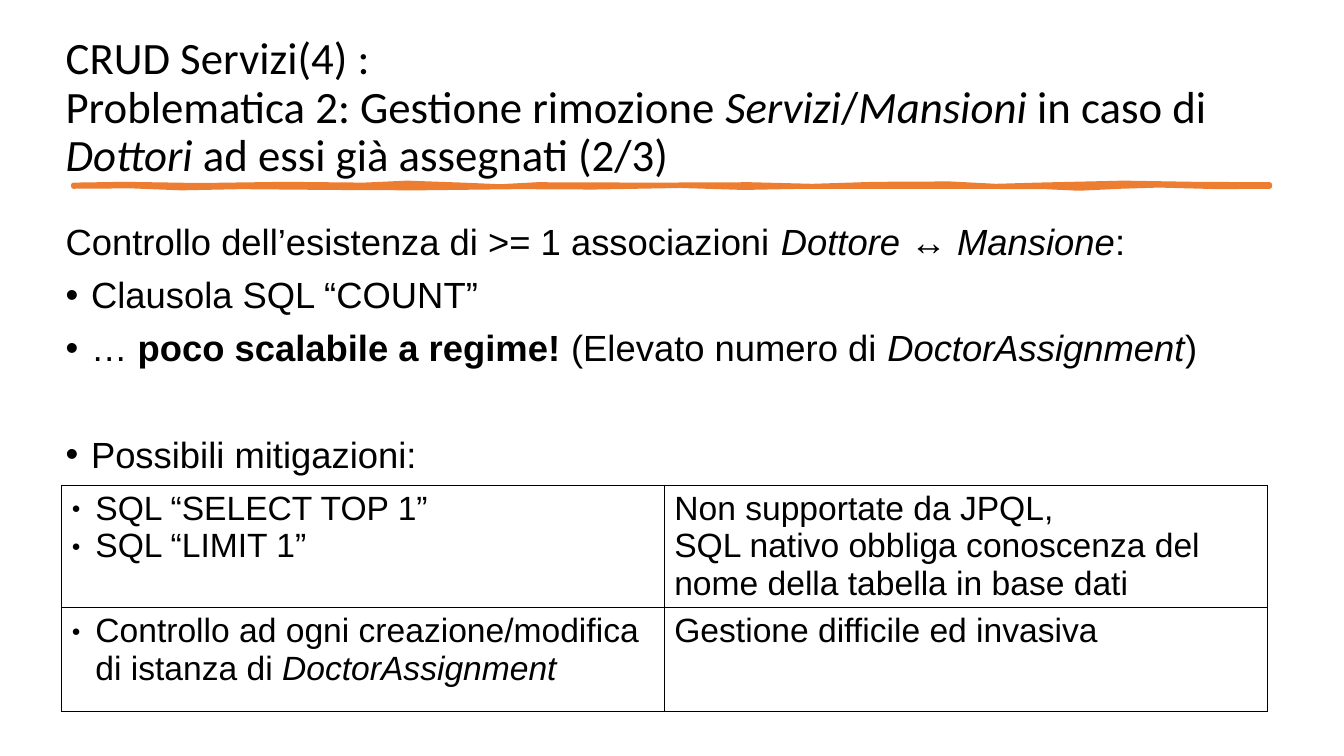
from dataclasses import dataclass
from typing import Optional

from lxml.etree import SubElement
from pptx import Presentation
from pptx.dml.color import RGBColor
from pptx.enum.text import MSO_ANCHOR, MSO_AUTO_SIZE, PP_ALIGN
from pptx.oxml.ns import qn
from pptx.util import Cm, Pt


@dataclass(frozen=True)
class Theme:
    ink: str = "000000"
    accent: str = "ED7D31"
    title_font: str = "Calibri"
    body_font: str = "Arial"
    title_size: float = 32
    body_size: float = 26
    table_size: float = 24
    underline_width: float = 3.25
    outer_border: float = 0.06
    inner_border: float = 0.96


@dataclass(frozen=True)
class Span:
    text: str
    italic: bool = False
    bold: bool = False


@dataclass(frozen=True)
class Bullet:
    character: str
    indent: float
    percent: int = 100


@dataclass(frozen=True)
class Line:
    spans: tuple[Span, ...]
    bullet: Optional[Bullet] = None
    space_before: float = 0


@dataclass(frozen=True)
class TextStyle:
    font: str
    size: float
    line_spacing: float


THEME = Theme()
TITLE_STYLE = TextStyle(THEME.title_font, THEME.title_size, 0.9)
BODY_STYLE = TextStyle(THEME.body_font, THEME.body_size, 0.9)
TABLE_STYLE = TextStyle(THEME.body_font, THEME.table_size, 1.0)
BODY_BULLET = Bullet("•", 0.64)
TABLE_BULLET = Bullet("●", 0.6, 45)

TITLE = (
    Line((Span("CRUD Servizi(4) :"),)),
    Line((
        Span("Problematica 2: Gestione rimozione "),
        Span("Servizi", italic=True),
        Span("/"),
        Span("Mansioni", italic=True),
        Span(" in caso di "),
        Span("Dottori", italic=True),
        Span(" ad essi già assegnati (2/3)"),
    )),
)
BODY = (
    Line((
        Span("Controllo dell’esistenza di >= 1 associazioni "),
        Span("Dottore", italic=True),
        Span(" ↔ "),
        Span("Mansione", italic=True),
        Span(":"),
    ), space_before=10),
    Line((Span("Clausola SQL “COUNT”"),), BODY_BULLET, 10),
    Line((
        Span("… "),
        Span("poco scalabile a regime!", bold=True),
        Span(" (Elevato numero di "),
        Span("DoctorAssignment", italic=True),
        Span(")"),
    ), BODY_BULLET, 10),
    Line((Span("Possibili mitigazioni:"),), BODY_BULLET, 48),
)
MITIGATIONS = (
    (
        (
            Line((Span("SQL “SELECT TOP 1”"),), TABLE_BULLET),
            Line((Span("SQL “LIMIT 1”"),), TABLE_BULLET),
        ),
        (
            Line((Span("Non supportate da JPQL,"),)),
            Line((Span("SQL nativo obbliga conoscenza del nome della tabella in base dati"),)),
        ),
    ),
    (
        (
            Line((
                Span("Controllo ad ogni creazione/modifica di istanza di "),
                Span("DoctorAssignment", italic=True),
            ), TABLE_BULLET),
        ),
        (Line((Span("Gestione difficile ed invasiva"),)),),
    ),
)
COLUMN_WIDTH = 15.19
ROW_HEIGHTS = (3.07, 2.62)
UNDERLINE = (
    (1.85, 4.66), (3.15, 4.64), (5.03, 4.67), (7.21, 4.64), (9.17, 4.66),
    (10.26, 4.61), (11.66, 4.66), (12.6, 4.7), (13.54, 4.65), (16.41, 4.66),
    (18.9, 4.65), (20.47, 4.69), (22.05, 4.64), (23.93, 4.63), (25.1, 4.69),
    (26.14, 4.66), (28.32, 4.61), (30.12, 4.64), (32, 4.65), (32, 4.7),
    (30.71, 4.71), (29.21, 4.67), (28.24, 4.7), (27.2, 4.75), (26.34, 4.71),
    (23.5, 4.7), (20.32, 4.7), (18.74, 4.73), (17.15, 4.68), (14.96, 4.72),
    (13.08, 4.71), (10.52, 4.74), (8.33, 4.73), (6.07, 4.71), (4.57, 4.74),
    (3.3, 4.69), (1.85, 4.7),
)


def set_bullet(paragraph, bullet: Optional[Bullet]) -> None:
    properties = paragraph._p.get_or_add_pPr()
    indent = Cm(bullet.indent) if bullet else 0
    properties.set("marL", str(indent))
    properties.set("indent", str(-indent))
    if bullet is None:
        SubElement(properties, qn("a:buNone"))
        return
    color = SubElement(properties, qn("a:buClr"))
    SubElement(color, qn("a:srgbClr"), val=THEME.ink)
    SubElement(properties, qn("a:buSzPct"), val=str(bullet.percent * 1000))
    SubElement(properties, qn("a:buFont"), typeface=THEME.body_font)
    SubElement(properties, qn("a:buChar"), char=bullet.character)


def write_lines(text_frame, lines: tuple[Line, ...], style: TextStyle) -> None:
    for index, line in enumerate(lines):
        paragraph = text_frame.add_paragraph() if index else text_frame.paragraphs[0]
        paragraph.alignment = PP_ALIGN.LEFT
        paragraph.line_spacing = style.line_spacing
        paragraph.space_before = Pt(line.space_before)
        set_bullet(paragraph, line.bullet)
        for span in line.spans:
            run = paragraph.add_run()
            run.text = span.text
            run.font.name = style.font
            run.font.size = Pt(style.size)
            run.font.italic = span.italic
            run.font.bold = span.bold
            run.font.color.rgb = RGBColor.from_string(THEME.ink)


def fill_placeholder(shape, box: tuple[float, ...], anchor: MSO_ANCHOR,
                     lines: tuple[Line, ...], style: TextStyle) -> None:
    shape.left, shape.top, shape.width, shape.height = map(Cm, box)
    text_frame = shape.text_frame
    text_frame.word_wrap = True
    text_frame.auto_size = MSO_AUTO_SIZE.NONE
    text_frame.vertical_anchor = anchor
    write_lines(text_frame, lines, style)


def draw_underline(slide) -> None:
    points = [(Cm(x), Cm(y)) for x, y in UNDERLINE]
    builder = slide.shapes.build_freeform(*points[0])
    builder.add_line_segments(points[1:], close=True)
    shape = builder.convert_to_shape()
    shape.shadow.inherit = False
    shape.fill.solid()
    shape.fill.fore_color.rgb = RGBColor.from_string(THEME.accent)
    shape.line.color.rgb = RGBColor.from_string(THEME.accent)
    shape.line.width = Pt(THEME.underline_width)


def set_borders(cell, inner_side: str) -> None:
    properties = cell._tc.get_or_add_tcPr()
    for position, side in enumerate(("lnL", "lnR", "lnT", "lnB")):
        width = THEME.inner_border if side == inner_side else THEME.outer_border
        border = properties.makeelement(qn(f"a:{side}"), {"w": str(Pt(width))})
        fill = SubElement(border, qn("a:solidFill"))
        SubElement(fill, qn("a:srgbClr"), val=THEME.ink)
        properties.insert(position, border)


def draw_table(slide) -> None:
    table = slide.shapes.add_table(
        len(MITIGATIONS), 2, Cm(1.55), Cm(12.22),
        Cm(2 * COLUMN_WIDTH), Cm(sum(ROW_HEIGHTS))).table
    table.first_row = False
    table.horz_banding = False
    for column in table.columns:
        column.width = Cm(COLUMN_WIDTH)
    for row_index, row in enumerate(MITIGATIONS):
        table.rows[row_index].height = Cm(ROW_HEIGHTS[row_index])
        for column_index, lines in enumerate(row):
            cell = table.cell(row_index, column_index)
            cell.fill.background()
            set_borders(cell, ("lnR", "lnL")[column_index])
            write_lines(cell.text_frame, lines, TABLE_STYLE)


def main() -> None:
    presentation = Presentation()
    presentation.slide_width, presentation.slide_height = Cm(33.87), Cm(19.05)
    slide = presentation.slides.add_slide(presentation.slide_layouts[1])
    fill_placeholder(slide.shapes.title, (1.4, 0.79, 30.99, 3.89),
                     MSO_ANCHOR.MIDDLE, TITLE, TITLE_STYLE)
    draw_underline(slide)
    fill_placeholder(slide.placeholders[1], (1.4, 5.51, 30.78, 5.21),
                     MSO_ANCHOR.TOP, BODY, BODY_STYLE)
    draw_table(slide)
    presentation.save("out.pptx")


if __name__ == "__main__":
    main()
